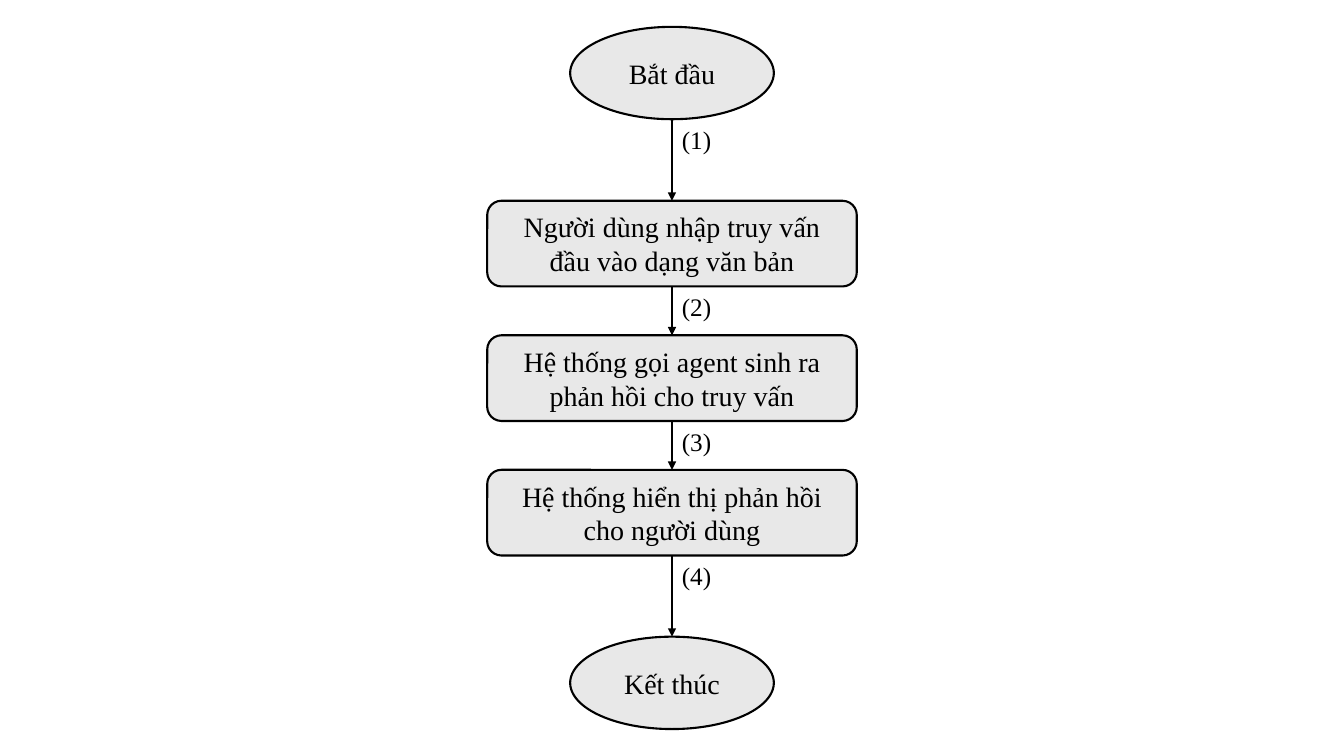
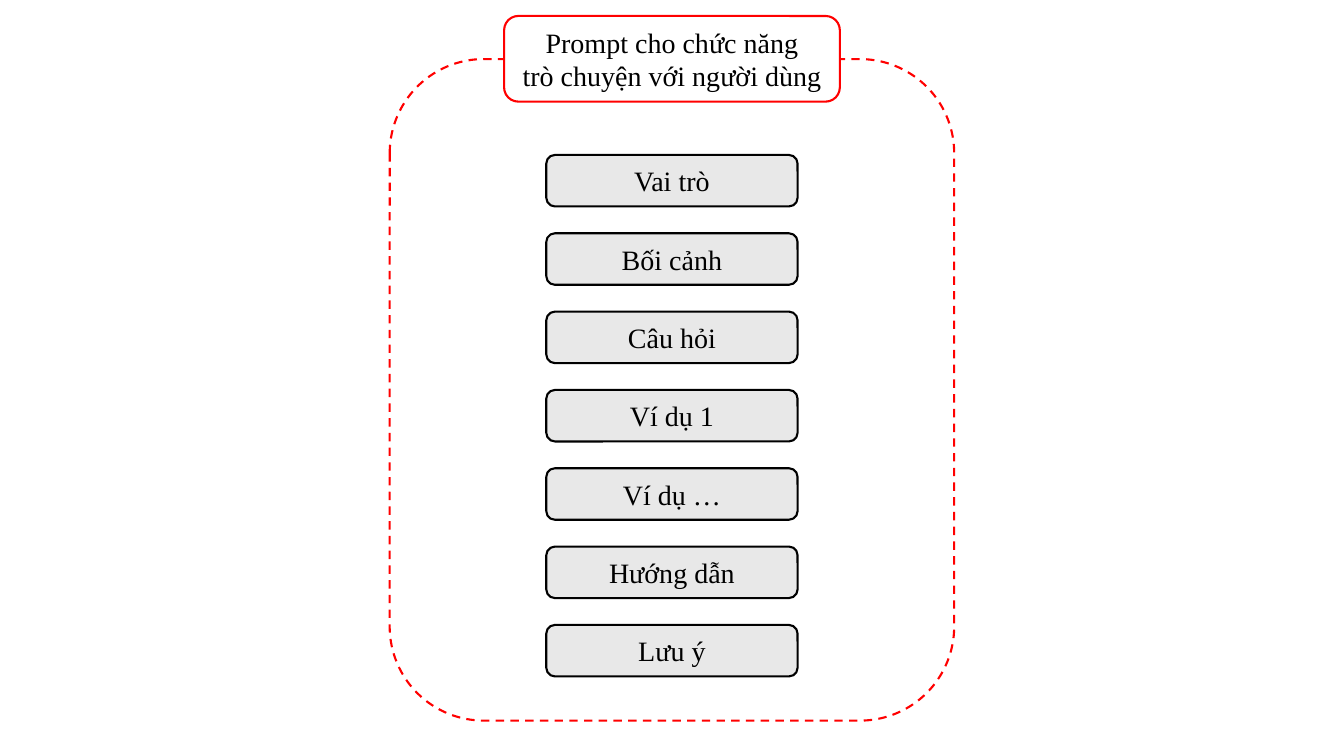
from lxml import etree
from pptx import Presentation
from pptx.dml.color import RGBColor
from pptx.enum.dml import MSO_LINE
from pptx.enum.shapes import MSO_CONNECTOR, MSO_SHAPE
from pptx.enum.text import MSO_ANCHOR, PP_ALIGN
from pptx.oxml.ns import qn
from pptx.util import Pt

OVAL = MSO_SHAPE.OVAL
ROUND = MSO_SHAPE.ROUNDED_RECTANGLE
LINE = MSO_CONNECTOR.STRAIGHT
DASH = MSO_LINE.DASH
MID = MSO_ANCHOR.MIDDLE
LEFT, CENTER = PP_ALIGN.LEFT, PP_ALIGN.CENTER

BLACK, WHITE, GRAY, RED = "000000", "FFFFFF", "E8E8E8", "FF0000"
FONT = "Times New Roman"
WIDTH, HEIGHT = 960, 540
AXIS = WIDTH / 2
STROKE = 1.5


def write(shape, text, size=20, align=CENTER, wrap=True):
    frame = shape.text_frame
    frame.text = text
    frame.word_wrap = wrap
    for para in frame.paragraphs:
        para.alignment = align
        para.font.name = FONT
        para.font.size = Pt(size)
        para.font.color.rgb = RGBColor.from_string(BLACK)


def draw(slide, kind, top, width, height, text="", fill=GRAY, edge=BLACK):
    shape = slide.shapes.add_shape(
        kind, Pt(AXIS - width / 2), Pt(top), Pt(width), Pt(height))
    shape.shadow.inherit = False
    if fill:
        shape.fill.solid()
        shape.fill.fore_color.rgb = RGBColor.from_string(fill)
    else:
        shape.fill.background()
    shape.line.color.rgb = RGBColor.from_string(edge)
    shape.line.width = Pt(STROKE)
    if text:
        shape.text_frame.vertical_anchor = MID
        write(shape, text)
    return shape


deck = Presentation()
deck.slide_width, deck.slide_height = Pt(WIDTH), Pt(HEIGHT)
blank = deck.slide_layouts[6]

flow = deck.slides.add_slide(blank)
oval = (OVAL, 145.5, 66)
box = (ROUND, 264, 61.2)
steps = [
    (oval, 19.2, "Bắt đầu"),
    (box, 143.4, "Người dùng nhập truy vấn\nđầu vào dạng văn bản"),
    (box, 239.5, "Hệ thống gọi agent sinh ra phản hồi cho truy vấn"),
    (box, 335.6, "Hệ thống hiển thị phản hồi cho người dùng"),
    (oval, 454.8, "Kết thúc"),
]
for (kind, width, height), top, text in steps:
    draw(flow, kind, top, width, height, text)

for num, (step, after) in enumerate(zip(steps, steps[1:]), 1):
    start, end = step[1] + step[0][2], after[1]
    arrow = flow.shapes.add_connector(
        LINE, Pt(AXIS), Pt(start), Pt(AXIS), Pt(end))
    arrow.line.color.rgb = RGBColor.from_string(BLACK)
    arrow.line.width = Pt(STROKE)
    etree.SubElement(
        arrow.line._get_or_add_ln(), qn("a:tailEnd"), type="triangle")
    etree.SubElement(arrow._element.spPr, qn("a:effectLst"))
    label = flow.shapes.add_textbox(Pt(AXIS), Pt(start), Pt(36), Pt(29))
    write(label, f"({num})", size=18, align=LEFT, wrap=False)

prompt = deck.slides.add_slide(blank)
parts = ["Vai trò", "Bối cảnh", "Câu hỏi", "Ví dụ 1", "Ví dụ …",
         "Hướng dẫn", "Lưu ý"]
for row, part in enumerate(parts):
    draw(prompt, ROUND, 110.7 + row * 55.95, 179.5, 36.8, part)

border = draw(prompt, ROUND, 42.2, 403.2, 472.5, fill=None, edge=RED)
border.line.dash_style = DASH
draw(prompt, ROUND, 11.4, 239.8, 61.2,
     "Prompt cho chức năng\ntrò chuyện với người dùng", fill=WHITE, edge=RED)

deck.save("out.pptx")
